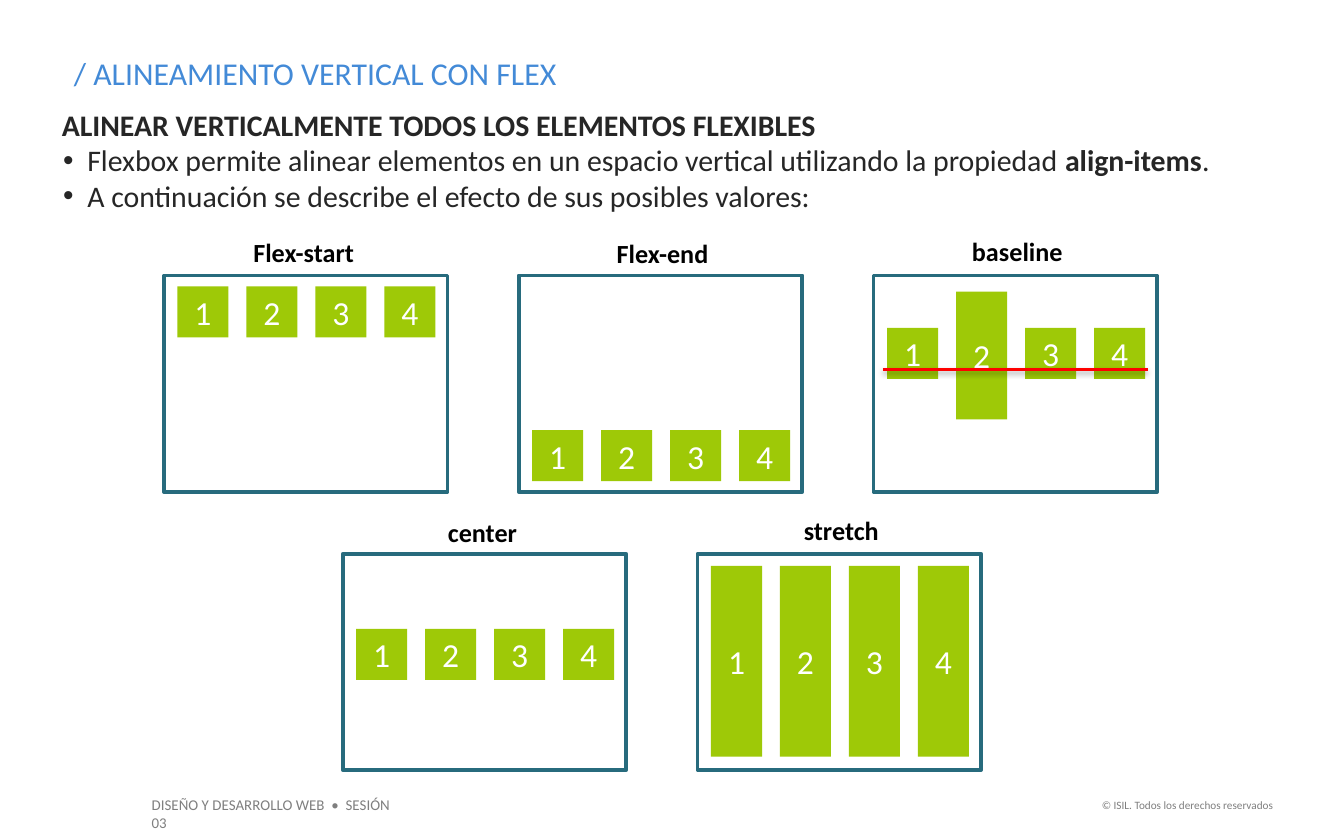
from dataclasses import dataclass

from lxml.etree import SubElement
from pptx import Presentation
from pptx.dml.color import RGBColor
from pptx.enum.shapes import MSO_CONNECTOR, MSO_SHAPE
from pptx.enum.text import MSO_ANCHOR, MSO_AUTO_SIZE, PP_ALIGN
from pptx.oxml.ns import qn
from pptx.shapes.group import GroupShape
from pptx.slide import Slide
from pptx.text.text import Font, TextFrame
from pptx.util import Inches, Pt


@dataclass(frozen=True)
class Theme:
    font: str = "Calibri"
    title: str = "438AD7"
    body: str = "262626"
    label: str = "000000"
    footer: str = "7F7F7F"
    item: str = "9EC907"
    item_text: str = "FFFFFF"
    frame: str = "276B7D"
    baseline: str = "FF0000"
    shadow: str = "000000"
    title_size: float = 17
    body_size: float = 16
    label_size: float = 14
    item_size: float = 18
    footer_size: float = 8
    copyright_size: float = 6


@dataclass(frozen=True)
class Item:
    """Vertical place of one flex item, measured from the top of its frame."""
    top: float
    height: float = 0.38


@dataclass(frozen=True)
class Example:
    name: str
    left: float
    top: float
    label_left: float
    label_top: float
    items: tuple[Item, ...]
    baseline: float | None = None


THEME = Theme()
FRAME_WIDTH, FRAME_HEIGHT = 2.11, 1.61
FRAME_PITCH = 2.64
UPPER_LEFT, UPPER_TOP = 1.22, 2.05
LOWER_LEFT, LOWER_TOP = 2.55, 4.12
LABEL_WIDTH, LABEL_HEIGHT = 1.9, 0.34
ITEM_COUNT, ITEM_WIDTH, ITEM_MARGIN, ITEM_SPAN = 4, 0.38, 0.1, 1.92
ITEM_PITCH = (ITEM_SPAN - ITEM_WIDTH) / (ITEM_COUNT - 1)
BASELINE_MARGIN = 0.07

SMALL = Item(0.39)
EXAMPLES = (
    Example("Flex-start", UPPER_LEFT, UPPER_TOP, 1.31, 1.71, (Item(0.08),) * ITEM_COUNT),
    Example("Flex-end", UPPER_LEFT + FRAME_PITCH, UPPER_TOP, 3.98, 1.72,
            (Item(1.15),) * ITEM_COUNT),
    Example("center", LOWER_LEFT, LOWER_TOP, 2.64, 3.79, (Item(0.56),) * ITEM_COUNT),
    Example("stretch", LOWER_LEFT + FRAME_PITCH, LOWER_TOP, 5.31, 3.78,
            (Item(0.09, 1.42),) * ITEM_COUNT),
    Example("baseline", UPPER_LEFT + 2 * FRAME_PITCH, UPPER_TOP, 6.62, 1.7,
            (SMALL, Item(0.12, 0.95), SMALL, SMALL), baseline=0.7),
)
BODY = (
    (("ALINEAR VERTICALMENTE TODOS LOS ELEMENTOS FLEXIBLES", True),),
    (("Flexbox permite alinear elementos en un espacio vertical utilizando la propiedad ", False),
     ("align-items", True), (".", False)),
    (("A continuación se describe el efecto de sus posibles valores:", False),),
)


def place(shape, left: float, top: float, width: float, height: float) -> None:
    shape.left, shape.top = Inches(left), Inches(top)
    shape.width, shape.height = Inches(width), Inches(height)


def style_font(font: Font, size: float, color: str, bold: bool = False) -> None:
    font.name, font.size, font.bold = THEME.font, Pt(size), bold
    font.color.rgb = RGBColor.from_string(color)


def write_line(frame: TextFrame, text: str, size: float, color: str,
               align: PP_ALIGN = PP_ALIGN.LEFT, bold: bool = False,
               anchor: MSO_ANCHOR = MSO_ANCHOR.TOP) -> None:
    frame.text = text
    frame.word_wrap = True
    frame.auto_size = MSO_AUTO_SIZE.NONE
    frame.vertical_anchor = anchor
    paragraph = frame.paragraphs[0]
    paragraph.alignment = align
    style_font(paragraph.runs[0].font, size, color, bold)


def add_label(slide: Slide, box: tuple[float, float, float, float], text: str, size: float,
              color: str, align: PP_ALIGN = PP_ALIGN.LEFT, bold: bool = False) -> None:
    label = slide.shapes.add_textbox(*map(Inches, box))
    write_line(label.text_frame, text, size, color, align, bold)


def add_title(slide: Slide) -> None:
    title = slide.shapes.title
    place(title, 0.45, 0.35, 7.88, 0.39)
    write_line(title.text_frame, "/ ALINEAMIENTO VERTICAL CON FLEX",
               THEME.title_size, THEME.title)


def set_bullet(paragraph, bulleted: bool) -> None:
    properties = paragraph._p.get_or_add_pPr()
    properties.set("marL", str(Inches(0.2 if bulleted else 0.01)))
    properties.set("indent", str(Inches(-0.18 if bulleted else 0)))
    if not bulleted:
        SubElement(properties, qn("a:buNone"))
        return
    color = SubElement(properties, qn("a:buClr"))
    SubElement(color, qn("a:srgbClr"), val=THEME.body)
    SubElement(properties, qn("a:buFont"), typeface="Arial")
    SubElement(properties, qn("a:buChar"), char="•")


def add_body(slide: Slide) -> None:
    body = slide.placeholders[1]
    place(body, 0.45, 0.79, 8.64, 0.81)
    frame = body.text_frame
    frame.word_wrap = True
    frame.auto_size = MSO_AUTO_SIZE.NONE
    frame.margin_left = frame.margin_top = frame.margin_right = frame.margin_bottom = 0
    for index, parts in enumerate(BODY):
        paragraph = frame.add_paragraph() if index else frame.paragraphs[0]
        set_bullet(paragraph, bulleted=index > 0)
        paragraph.space_before = Pt(0)
        for text, bold in parts:
            run = paragraph.add_run()
            run.text = text
            style_font(run.font, THEME.body_size, THEME.body, bold)


def add_rectangle(group: GroupShape, left: float, top: float, width: float, height: float):
    rectangle = group.shapes.add_shape(
        MSO_SHAPE.RECTANGLE, Inches(left), Inches(top), Inches(width), Inches(height))
    rectangle.shadow.inherit = False
    return rectangle


def add_baseline(group: GroupShape, left: float, right: float, top: float) -> None:
    """Draw the red baseline with its soft shadow below."""
    line = group.shapes.add_connector(
        MSO_CONNECTOR.STRAIGHT, Inches(left), Inches(top), Inches(right), Inches(top))
    line.line.color.rgb = RGBColor.from_string(THEME.baseline)
    line.line.width = Pt(1.5)
    effects = SubElement(line._element.spPr, qn("a:effectLst"))
    shadow = SubElement(effects, qn("a:outerShdw"), blurRad=str(Pt(3.1)), dist=str(Pt(1.6)),
                        dir=str(90 * 60000), rotWithShape="0")
    color = SubElement(shadow, qn("a:srgbClr"), val=THEME.shadow)
    SubElement(color, qn("a:alpha"), val="37000")


def add_example(slide: Slide, example: Example) -> None:
    group = slide.shapes.add_group_shape()
    frame = add_rectangle(group, example.left, example.top, FRAME_WIDTH, FRAME_HEIGHT)
    frame.fill.background()
    frame.line.color.rgb = RGBColor.from_string(THEME.frame)
    frame.line.width = Pt(2)
    for index, item in enumerate(example.items):
        left = example.left + ITEM_MARGIN + index * ITEM_PITCH
        box = add_rectangle(group, left, example.top + item.top, ITEM_WIDTH, item.height)
        box.fill.solid()
        box.fill.fore_color.rgb = RGBColor.from_string(THEME.item)
        box.line.fill.background()
        write_line(box.text_frame, str(index + 1), THEME.item_size, THEME.item_text,
                   PP_ALIGN.CENTER, anchor=MSO_ANCHOR.MIDDLE)
    if example.baseline is not None:
        add_baseline(group, example.left + BASELINE_MARGIN,
                     example.left + FRAME_WIDTH - BASELINE_MARGIN,
                     example.top + example.baseline)
    add_label(slide, (example.label_left, example.label_top, LABEL_WIDTH, LABEL_HEIGHT),
              example.name, THEME.label_size, THEME.label, PP_ALIGN.CENTER, bold=True)


def main() -> None:
    presentation = Presentation()
    presentation.slide_width, presentation.slide_height = Inches(10), Inches(6.25)
    slide = presentation.slides.add_slide(presentation.slide_layouts[1])
    add_label(slide, (1.03, 5.87, 2.11, 0.24), "DISEÑO Y DESARROLLO WEB  •  SESIÓN 03",
              THEME.footer_size, THEME.footer)
    add_label(slide, (8.07, 5.89, 1.5, 0.2), "© ISIL. Todos los derechos reservados",
              THEME.copyright_size, THEME.footer, PP_ALIGN.RIGHT)
    add_title(slide)
    add_body(slide)
    for example in EXAMPLES:
        add_example(slide, example)
    presentation.save("out.pptx")


if __name__ == "__main__":
    main()
